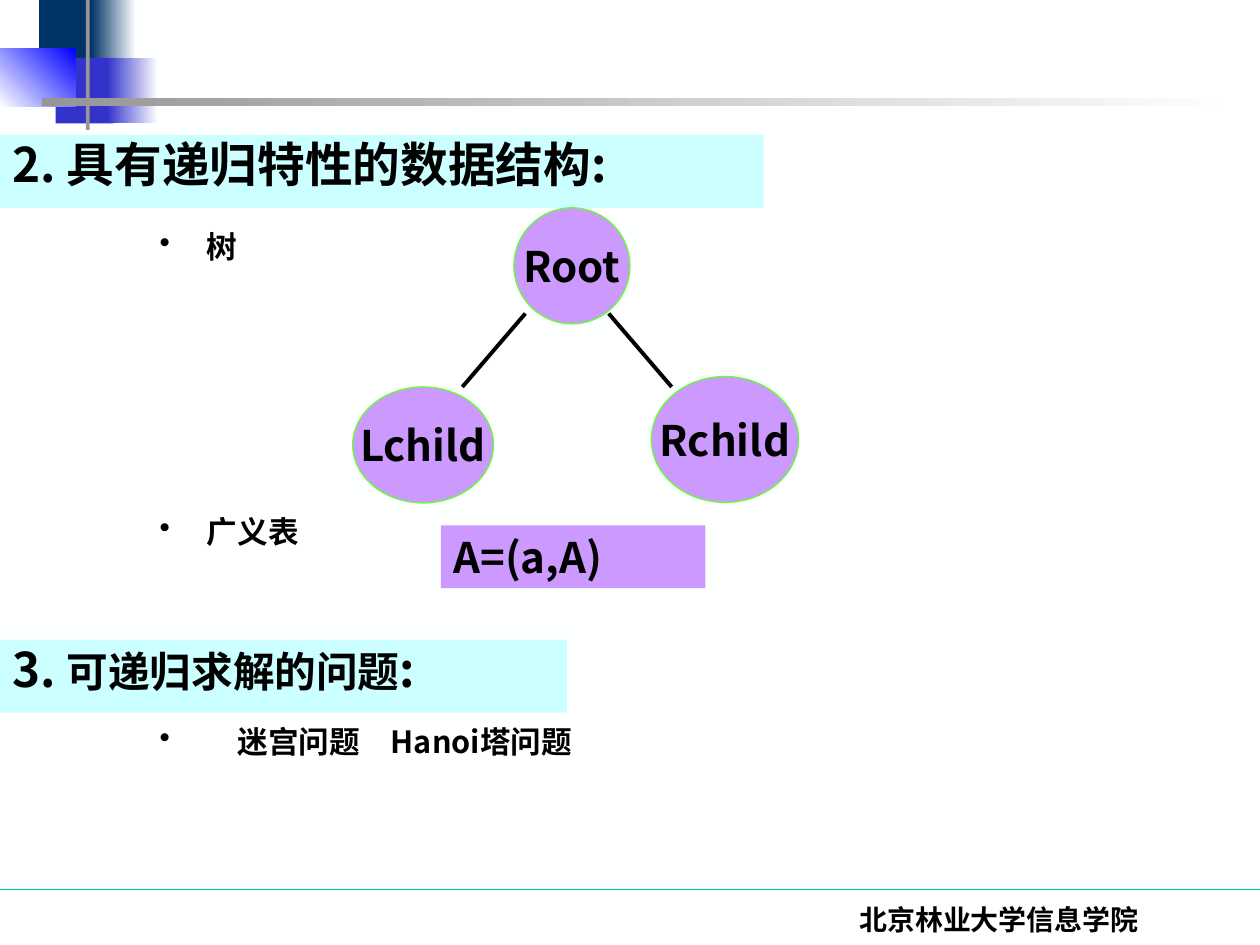
from lxml.etree import SubElement
from pptx import Presentation
from pptx.dml.color import RGBColor
from pptx.enum.shapes import MSO_CONNECTOR, MSO_SHAPE
from pptx.enum.text import MSO_ANCHOR, PP_ALIGN
from pptx.oxml.ns import qn
from pptx.util import Cm, Pt

BLACK = RGBColor(0x00, 0x00, 0x00)
PAPER = RGBColor(0xFE, 0xFF, 0xFF)
NAVY = RGBColor(0x00, 0x33, 0x66)
INDIGO = RGBColor(0x33, 0x33, 0xCC)
BLUE = RGBColor(0x00, 0x00, 0xFF)
GRAY = RGBColor(0x96, 0x96, 0x96)
TEAL = RGBColor(0x00, 0xCC, 0x99)
CYAN = RGBColor(0xCC, 0xFF, 0xFF)
PURPLE = RGBColor(0xCC, 0x99, 0xFF)
GREEN = RGBColor(0x66, 0xFF, 0x33)

SANS = "Noto Sans CJK SC"
SERIF = "Times New Roman"

ORNAMENTS = [
    ((0.79, 0, 1.22, 1.32), (NAVY,), 0),
    ((1.83, 0, 0.91, 1.32), (NAVY, PAPER), 0),
    ((1.12, 1.17, 1.17, 1.32), (INDIGO,), 0),
    ((2.16, 1.17, 1.02, 1.32), (INDIGO, PAPER), 0),
    ((0, 0.97, 1.52, 1.17), (PAPER, BLUE), 45),
    ((1.73, 0, 0.08, 2.62), (GRAY,), 0),
    ((0.84, 1.98, 24.16, 0.15), (GRAY, PAPER), 0),
]
HEADINGS = [
    ((0, 2.72, 15.39, 1.47), [("2. 具有递归特性的数据结构:", 27.2)]),
    ((0, 12.9, 11.43, 1.47), [("3. ", 27.2), ("可递归求解的问题", 23.8), (":", 27.2)]),
]
BULLETS = [
    ((2.97, 4.62, 7.62, 2.11), "树", 0.95),
    ((2.97, 10.36, 7.62, 2.11), "广义表", 0.95),
    ((2.97, 14.6, 19.74, 2.11), "迷宫问题\u3000Hanoi塔问题".replace("\u3000", "　"), 1.57),
]
NODES = [
    ("Root", (10.36, 4.19, 2.34, 2.34)),
    ("Lchild", (7.11, 7.8, 2.84, 2.34)),
    ("Rchild", (13.13, 7.59, 2.97, 2.54)),
]
BRANCHES = [(10.59, 6.32, 9.32, 7.8), (12.27, 6.32, 13.54, 7.8)]
LIST_EXAMPLE = ("A=(a,A)", (8.89, 10.59, 5.33, 1.27))
FOOTER = ("北京林业大学信息学院", (14.88, 18.06, 10.52, 1.27))
FOOTER_RULE = (0, 17.93, 25.4, 17.93)


def lengths(values):
    return [Cm(value) for value in values]


def add_box(slide, box, colors, angle=0, kind=MSO_SHAPE.RECTANGLE, outline=None):
    shape = slide.shapes.add_shape(kind, *lengths(box))
    shape.shadow.inherit = False
    if len(colors) == 1:
        shape.fill.solid()
        shape.fill.fore_color.rgb = colors[0]
    else:
        shape.fill.gradient()
        shape.fill.gradient_angle = angle
        for stop, color, position in zip(shape.fill.gradient_stops, colors, (0, 1)):
            stop.color.rgb = color
            stop.position = position
    if outline is None:
        shape.line.fill.background()
    else:
        shape.line.color.rgb = outline
        shape.line.width = Pt(0.75)
    return shape


def add_line(slide, ends, color, width):
    line = slide.shapes.add_connector(MSO_CONNECTOR.STRAIGHT, *lengths(ends))
    line.line.color.rgb = color
    line.line.width = Pt(width)
    SubElement(line._element.spPr, qn("a:effectLst"))


def write(shape, runs, align=PP_ALIGN.LEFT, anchor=MSO_ANCHOR.TOP, wrap=True,
          spacing=None, indent=None, font_name=SANS):
    frame = shape.text_frame
    frame.word_wrap = wrap
    frame.vertical_anchor = anchor
    paragraph = frame.paragraphs[0]
    paragraph.alignment = align
    if spacing:
        paragraph.line_spacing = spacing
    if indent:
        properties = paragraph._p.get_or_add_pPr()
        properties.set("marL", str(Cm(indent)))
        properties.set("indent", str(-Cm(indent)))
        SubElement(properties, qn("a:buChar")).set("char", "•")
    font = paragraph.font
    font.name = font_name
    font.size = Pt(runs[0][1])
    font.bold = True
    font.color.rgb = BLACK
    for defaults in paragraph._p.xpath("a:pPr/a:defRPr"):
        SubElement(defaults, qn("a:ea")).set("typeface", SANS)
    for text, size in runs:
        run = paragraph.add_run()
        run.text = text
        if size != runs[0][1]:
            run.font.size = Pt(size)


def main():
    presentation = Presentation()
    presentation.slide_width = Cm(25.4)
    presentation.slide_height = Cm(19.05)
    slide = presentation.slides.add_slide(presentation.slide_layouts[6])
    slide.background.fill.solid()
    slide.background.fill.fore_color.rgb = PAPER

    add_line(slide, FOOTER_RULE, TEAL, 0.75)
    for box, colors, angle in ORNAMENTS:
        add_box(slide, box, colors, angle)

    text, box = FOOTER
    write(slide.shapes.add_textbox(*lengths(box)), [(text, 16)],
          align=PP_ALIGN.CENTER, font_name=SERIF)

    for box, runs in HEADINGS:
        write(add_box(slide, box, [CYAN]), runs, spacing=0.9)
    for box, text, indent in BULLETS:
        write(slide.shapes.add_textbox(*lengths(box)), [(text, 17.5)],
              spacing=0.8, indent=indent)

    for label, box in NODES:
        node = add_box(slide, box, [PURPLE], kind=MSO_SHAPE.OVAL, outline=GREEN)
        write(node, [(label, 24)], align=PP_ALIGN.CENTER,
              anchor=MSO_ANCHOR.MIDDLE, wrap=False)
    for ends in BRANCHES:
        add_line(slide, ends, BLACK, 2.25)

    text, box = LIST_EXAMPLE
    write(add_box(slide, box, [PURPLE]), [(text, 24)])

    presentation.save("out.pptx")


if __name__ == "__main__":
    main()
